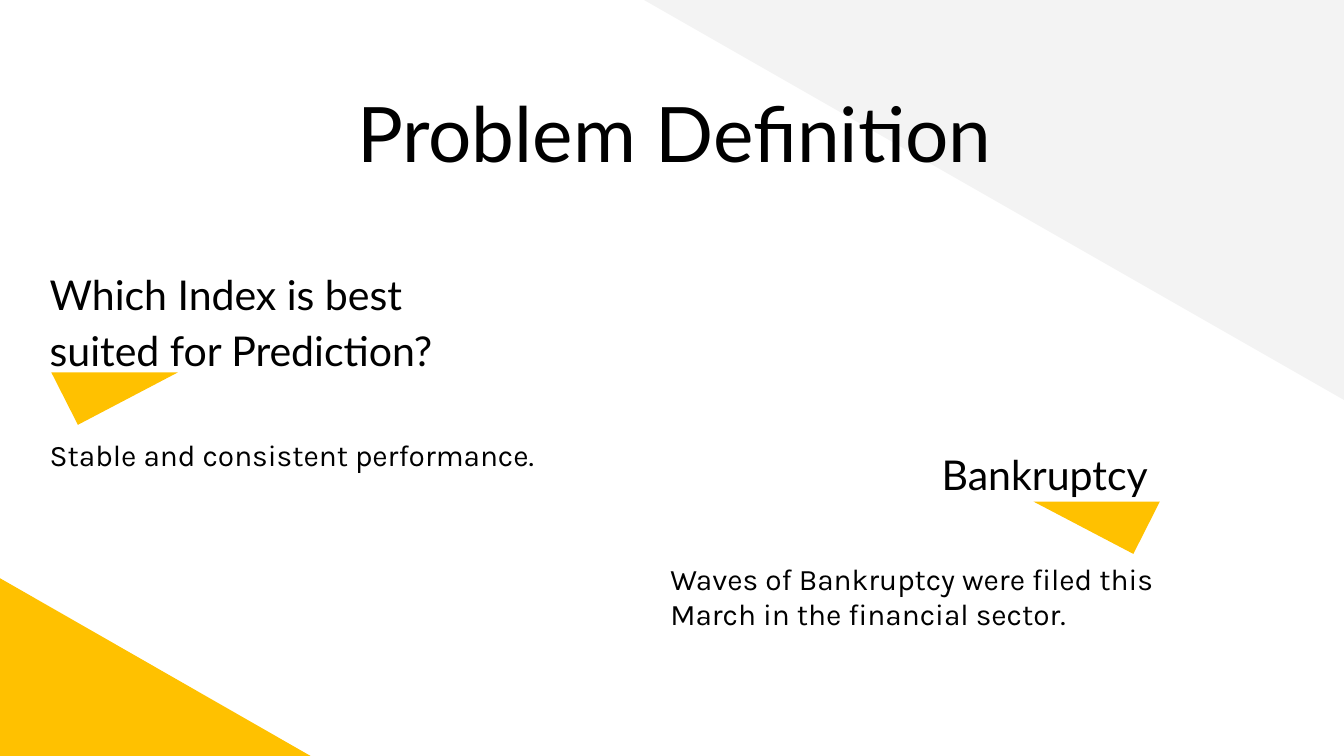
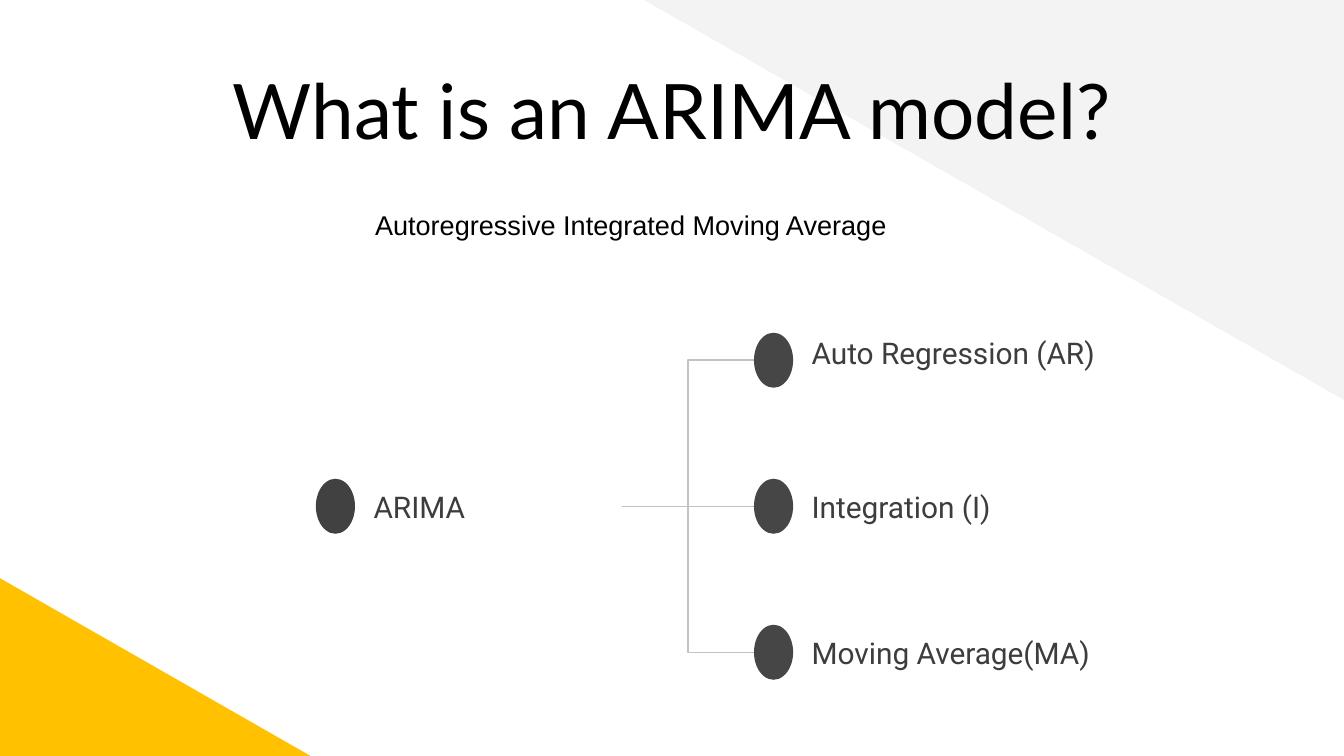
from lxml import etree
from pptx import Presentation
from pptx import util as u
from pptx.dml.color import RGBColor
from pptx.enum import shapes as kinds, text as txt
from pptx.oxml.ns import qn

BLACK, AMBER, PALE, LINE = "000000", "FFC100", "F3F3F3", "C2C2C2"
INK, ROOT_DOT, BRANCH_DOT = "3D3D3D", "414141", "464646"


def write(box, content, size=16, font="Roboto", color=BLACK, align="LEFT",
          anchor="TOP", spacing=1.0, after=0):
    frame = box.text_frame
    frame.word_wrap = True
    frame.auto_size = txt.MSO_AUTO_SIZE.NONE
    frame.vertical_anchor = getattr(txt.MSO_ANCHOR, anchor)
    frame.margin_left = frame.margin_right = u.Cm(0.25)
    frame.margin_top = frame.margin_bottom = u.Cm(0.25)
    paragraph = frame.paragraphs[0]
    paragraph.alignment = getattr(txt.PP_ALIGN, align)
    paragraph.line_spacing = spacing
    paragraph.space_before = u.Pt(0)
    paragraph.space_after = u.Pt(after)
    run = paragraph.add_run()
    run.text = content
    run.font.size = u.Pt(size)
    run.font.name = font
    run.font.color.rgb = RGBColor.from_string(color)


def draw(slide, kind, place, color, turn=0):
    shape = slide.shapes.add_shape(kind, *map(u.Cm, place))
    shape.shadow.inherit = False
    shape.fill.solid()
    shape.fill.fore_color.rgb = RGBColor.from_string(color)
    shape.line.fill.background()
    shape.rotation = turn
    return shape


deck = Presentation()
deck.slide_width, deck.slide_height = u.Cm(25.4), u.Cm(14.29)
layout = deck.slide_layouts[5]

problem = deck.slides.add_slide(layout)
model = deck.slides.add_slide(layout)

corners = [((12.12, -0.03, 13.28, 7.59), PALE, 180),
           ((0, 10.93, 5.87, 3.36), AMBER, 0)]
for position, (place, color, turn) in enumerate(corners, start=2):
    corner = draw(problem, kinds.MSO_SHAPE.RIGHT_TRIANGLE, place, color, turn)
    layout.shapes.element.insert(position, corner.element)

for slide, heading, left, top in [(problem, "Problem Definition", 1.5, 1.37),
                                  (model, "What is an ARIMA model?", 1.45, 0.94)]:
    title = slide.shapes.title
    title.left, title.top = u.Cm(left), u.Cm(top)
    title.width, title.height = u.Cm(22.5), u.Cm(1.6)
    write(title, heading, size=41, font="Lato", align="CENTER")

points = [
    ("Which Index is best suited for Prediction?", "LEFT", 0.69, 4.7,
     "Stable and consistent performance.", 0.69, 8.0, 0.97, 7.04, 0.79),
    ("Bankruptcy ", "RIGHT", 13.46, 8.1,
     "Waves of Bankruptcy were filed this March in the financial sector.",
     12.42, 10.34, 19.53, 9.48, 0.21),
]
for (question, align, question_left, question_top, answer, answer_left,
     answer_top, marker_left, marker_top, tip) in points:
    marker = draw(problem, kinds.MSO_SHAPE.ISOSCELES_TRIANGLE,
                  (marker_left, marker_top, 2.39, 0.99), AMBER, 180)
    marker.adjustments[0] = tip
    write(problem.shapes.add_textbox(u.Cm(answer_left), u.Cm(answer_top),
                                     u.Cm(10.13), u.Cm(2.77)),
          answer, font="Karla", after=16)
    write(problem.shapes.add_textbox(u.Cm(question_left), u.Cm(question_top),
                                     u.Cm(8.66), u.Cm(1.37)),
          question, size=22, font="Lato", align=align, spacing=1.15, after=16)

write(model.shapes.add_textbox(u.Cm(5.97), u.Cm(3.6), u.Cm(11.91), u.Cm(1.15)),
      "Autoregressive Integrated Moving Average", size=14.5, font="Arial",
      align="CENTER", spacing=1.15, after=11)

DOT_W, DOT_H, LABEL_H = 0.74, 1.04, 1.93
ROOT_LEFT, BRANCH_LEFT, STEM_LEFT = 5.97, 14.25, 11.75
MIDDLE, STEP = 9.57, 2.76

for row in (-1, 0, 1):
    branch = model.shapes.add_connector(
        kinds.MSO_CONNECTOR.ELBOW, u.Cm(STEM_LEFT), u.Cm(MIDDLE),
        u.Cm(BRANCH_LEFT), u.Cm(MIDDLE + row * STEP))
    branch.line.color.rgb = RGBColor.from_string(LINE)
    branch.line.width = u.Pt(0.75)
    etree.SubElement(branch.element.spPr, qn("a:effectLst"))

nodes = [("ARIMA", ROOT_LEFT, 0, ROOT_DOT, 0),
         ("Auto Regression (AR)", BRANCH_LEFT, -1, BRANCH_DOT, -0.14),
         ("Integration (I)", BRANCH_LEFT, 0, BRANCH_DOT, 0),
         ("Moving Average(MA)", BRANCH_LEFT, 1, BRANCH_DOT, 0)]
for label, left, row, color, lift in nodes:
    center = MIDDLE + row * STEP
    draw(model, kinds.MSO_SHAPE.OVAL,
         (left, center - DOT_H / 2, DOT_W, DOT_H), color)
    write(model.shapes.add_textbox(u.Cm(left + DOT_W + 0.1),
                                   u.Cm(center - LABEL_H / 2 + lift),
                                   u.Cm(6.1), u.Cm(LABEL_H)),
          label, color=INK, anchor="MIDDLE")

deck.save("out.pptx")
